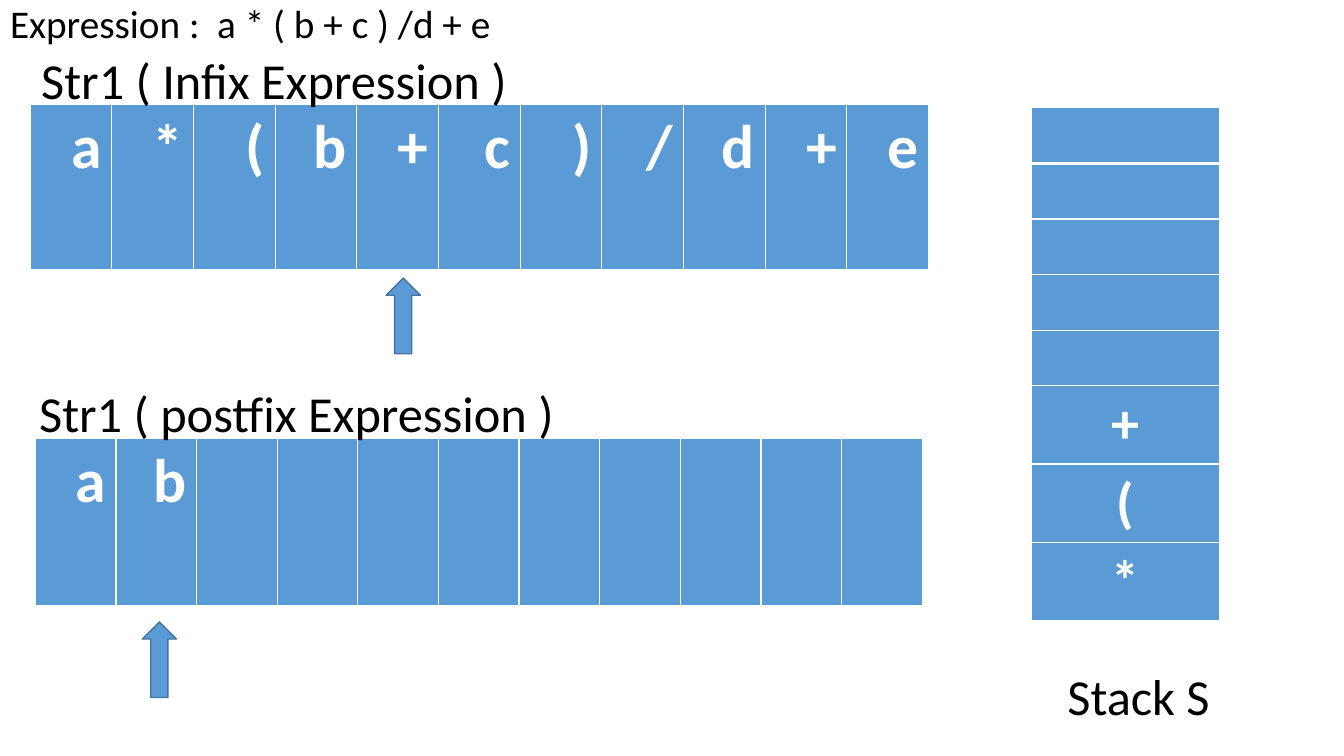
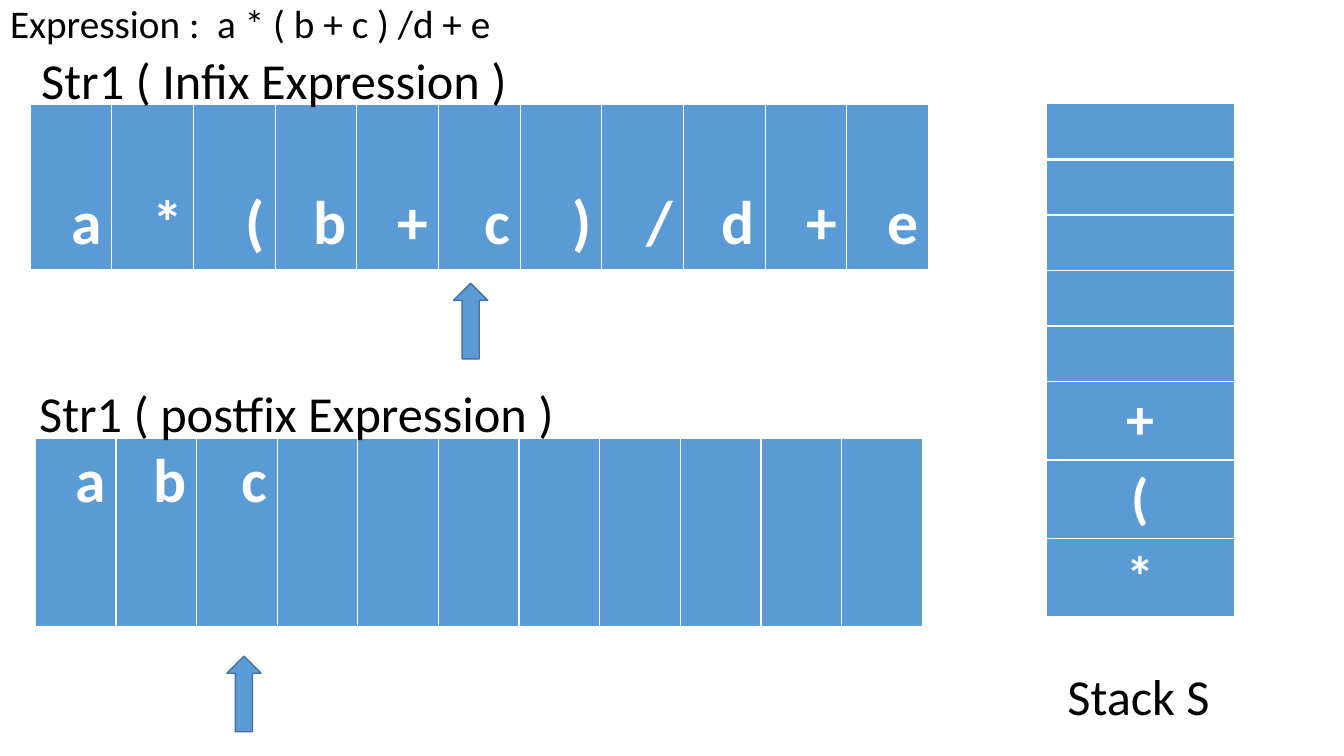
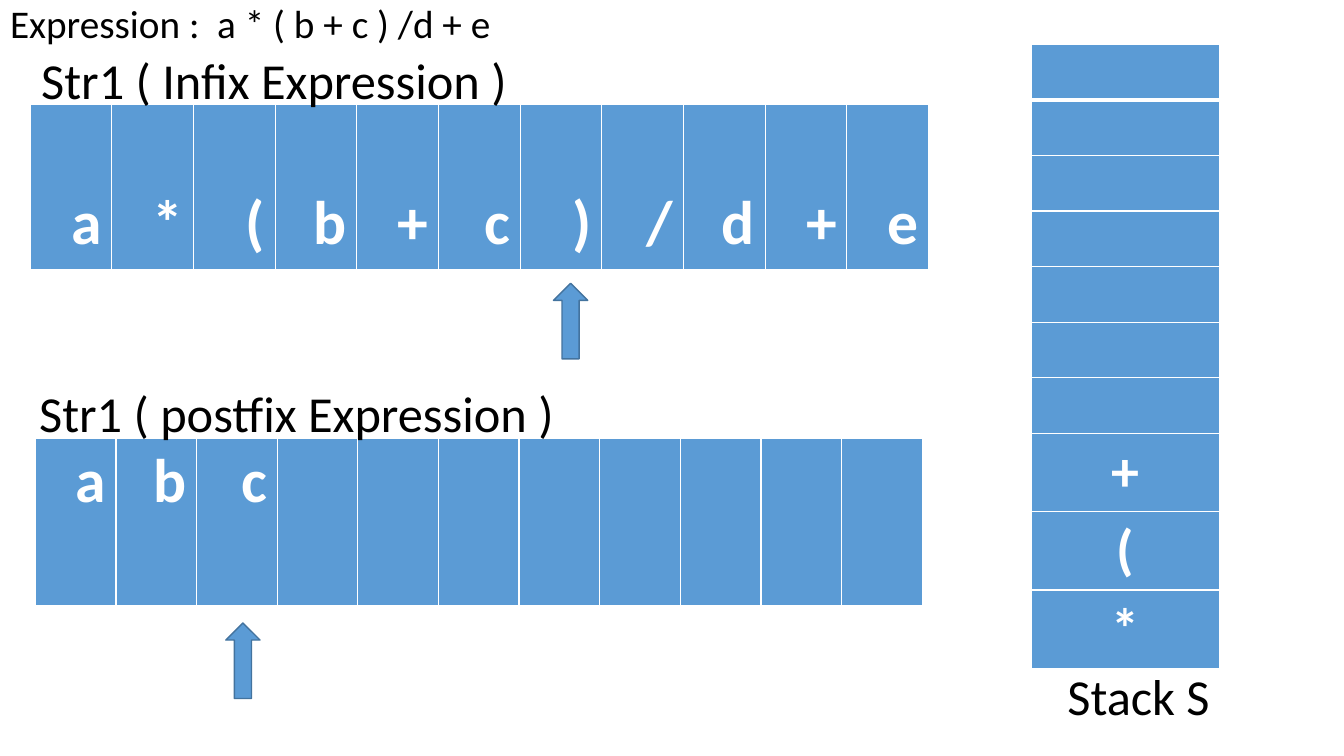
"""Build three steps of an infix to postfix conversion with a stack."""
import dataclasses
from typing import Any

import lxml.etree
import pptx
import pptx.dml.color
import pptx.enum.shapes
import pptx.enum.text
import pptx.oxml.ns
import pptx.util

BLUE = pptx.dml.color.RGBColor(0x5B, 0x9B, 0xD5)
DARK_BLUE = pptx.dml.color.RGBColor(0x43, 0x73, 0x9E)
BLACK = pptx.dml.color.RGBColor(0, 0, 0)
WHITE = pptx.dml.color.RGBColor(255, 255, 255)

ALIGN = pptx.enum.text.PP_ALIGN
ANCHOR = pptx.enum.text.MSO_ANCHOR

EXPRESSION = "Expression :  a * ( b + c ) /d + e"
INFIX = "a*(b+c)/d+e"
STACK = "+(*"

STEPS = [
    {"postfix": "ab", "infix_anchor": ANCHOR.TOP, "postfix_height": 22.27,
     "infix_mark": (28.73, 36.8), "postfix_mark": (10.58, 82.27),
     "stack_at": (76.73, 14.27), "free_rows": 5},
    {"postfix": "abc", "infix_anchor": ANCHOR.BOTTOM, "postfix_height": 25.07,
     "infix_mark": (33.75, 37.47), "postfix_mark": (16.88, 86.8),
     "stack_at": (77.85, 13.73), "free_rows": 5},
    {"postfix": "abc", "infix_anchor": ANCHOR.BOTTOM, "postfix_height": 22.27,
     "infix_mark": (41.18, 37.47), "postfix_mark": (16.8, 82.4),
     "stack_at": (76.73, 5.87), "free_rows": 7},
]


def assign(target, values):
    for attribute, value in values.items():
        setattr(target, attribute, value)


@dataclasses.dataclass
class Board:
    deck: Any
    slide: Any = None
    font: str = "Calibri"

    def wide(self, percent):
        return round(self.deck.slide_width * percent / 100)

    def high(self, percent):
        return round(self.deck.slide_height * percent / 100)

    def box(self, left, top, width, height):
        return self.wide(left), self.high(top), self.wide(width), self.high(height)

    def add_text(self, paragraph, text, size, color=BLACK, bold=False):
        run = paragraph.add_run()
        run.text = text
        assign(run.font, {"name": self.font, "size": pptx.util.Pt(size), "bold": bold})
        run.font.color.rgb = color

    def start(self, text):
        self.slide = self.deck.slides.add_slide(self.deck.slide_layouts[1])
        heading = self.slide.shapes.title
        heading.element.getparent().remove(heading.element)
        body = self.slide.placeholders[1]
        assign(body, dict(zip(("left", "top", "width", "height"),
                              self.box(0, 0, 100, 100))))
        assign(body.text_frame, {"auto_size": pptx.enum.text.MSO_AUTO_SIZE.NONE,
                                 "vertical_anchor": ANCHOR.TOP})
        line = body.text_frame.paragraphs[0]
        assign(line, {"line_spacing": 0.9, "space_before": pptx.util.Pt(10)})
        self.add_text(line, text, 28)
        properties = line._p.get_or_add_pPr()
        properties.set("marL", "0")
        properties.set("indent", "0")
        lxml.etree.SubElement(properties, pptx.oxml.ns.qn("a:buNone"))

    def label(self, text, left, top, width):
        caption = self.slide.shapes.add_textbox(*self.box(left, top, width, 9.47))
        caption.text_frame.word_wrap = True
        self.add_text(caption.text_frame.paragraphs[0], text, 36)

    def mark(self, left, top):
        pointer = self.slide.shapes.add_shape(
            pptx.enum.shapes.MSO_SHAPE.UP_ARROW, *self.box(left, top, 2.55, 10))
        pointer.shadow.inherit = False
        pointer.fill.solid()
        pointer.fill.fore_color.rgb = BLUE
        pointer.line.color.rgb = DARK_BLUE
        pointer.line.width = pptx.util.Pt(1)

    def grid(self, rows, columns, place):
        table = self.slide.shapes.add_table(rows, columns, *self.box(*place)).table
        assign(table, {"first_row": False, "horz_banding": False})
        return table

    def cell(self, cell, text, size, align, heavy=""):
        properties = cell._tc.get_or_add_tcPr()
        for side in "LRTB":
            edge = lxml.etree.SubElement(
                properties, pptx.oxml.ns.qn(f"a:ln{side}"),
                w=str(pptx.util.Pt(3 if side == heavy else 1)))
            paint = lxml.etree.SubElement(edge, pptx.oxml.ns.qn("a:solidFill"))
            lxml.etree.SubElement(paint, pptx.oxml.ns.qn("a:srgbClr"), val=str(WHITE))
        cell.fill.solid()
        cell.fill.fore_color.rgb = BLUE
        if text:
            symbol = cell.text_frame.paragraphs[0]
            symbol.alignment = align
            self.add_text(symbol, text, size, WHITE, True)

    def strip(self, symbols, place, anchor=ANCHOR.TOP):
        table = self.grid(1, len(INFIX), place)
        for cell, symbol in zip(table.iter_cells(), symbols.ljust(len(INFIX))):
            self.cell(cell, symbol.strip(), 44, ALIGN.RIGHT, "B")
            assign(cell, {"vertical_anchor": anchor,
                          "margin_bottom": pptx.util.Inches(0.1)})

    def stack(self, symbols, free_rows, left, top):
        entries = [""] * free_rows + list(symbols)
        heights = [10.3 if entry else 7.35 for entry in entries]
        table = self.grid(len(entries), 1, (left, top, 14.03, sum(heights)))
        for index, (entry, height) in enumerate(zip(entries, heights)):
            table.rows[index].height = self.high(height)
            heavy = {0: "B", 1: "T"}.get(index, "")
            self.cell(table.cell(index, 0), entry, 40, ALIGN.CENTER, heavy)


def main():
    deck = pptx.Presentation()
    assign(deck, {"slide_width": pptx.util.Inches(13.33),
                  "slide_height": pptx.util.Inches(7.5)})
    board = Board(deck)
    for step in STEPS:
        board.start(EXPRESSION)
        board.strip(INFIX, (2.25, 13.87, 66.83, 22), step["infix_anchor"])
        board.mark(*step["infix_mark"])
        board.strip(step["postfix"], (2.63, 58, 66, step["postfix_height"]))
        board.mark(*step["postfix_mark"])
        board.stack(STACK, step["free_rows"], *step["stack_at"])
        board.label("Stack S", 78.68, 87.33, 15.08)
        board.label("Str1 ( Infix Expression )", 2.33, 5.87, 64)
        board.label("Str1 ( postfix Expression )", 2.18, 49.87, 66)
    deck.save("out.pptx")


if __name__ == "__main__":
    main()
